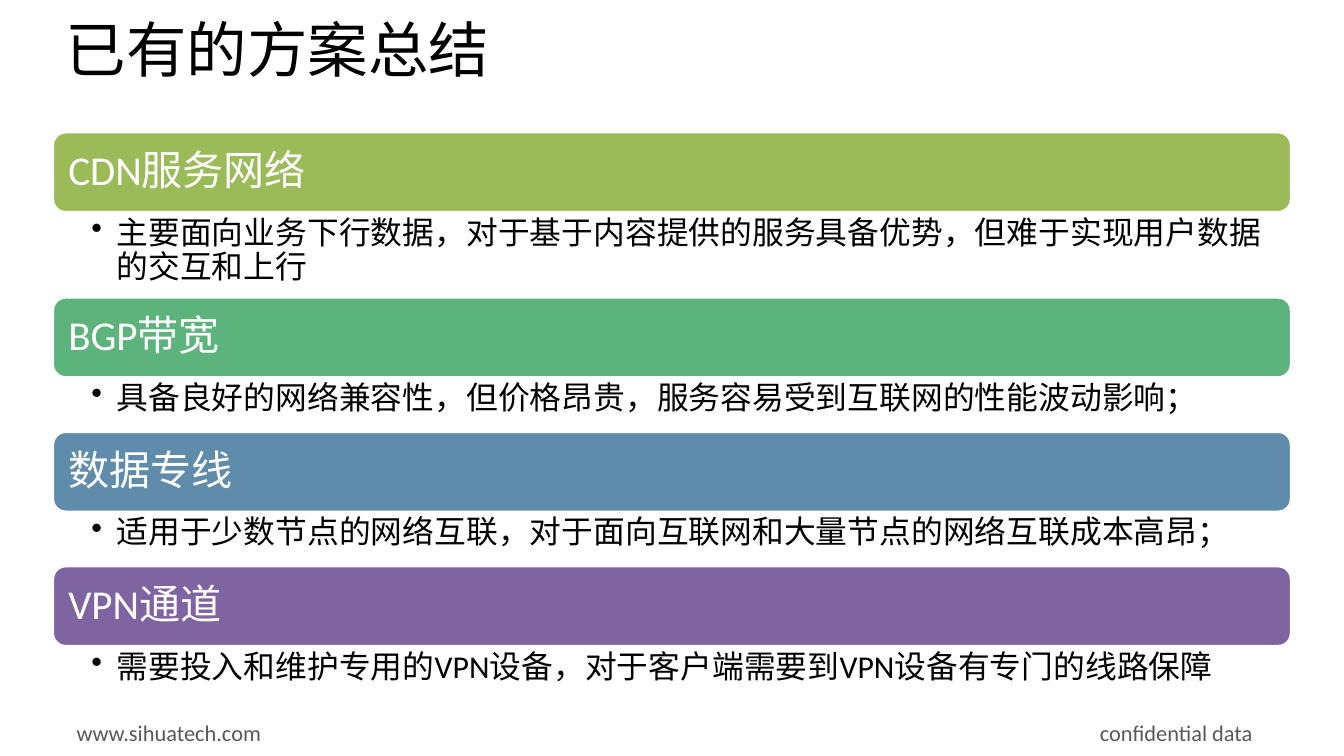
import pptx
import pptx.dml.color
import pptx.enum.shapes
import pptx.enum.text
import pptx.oxml.ns
import pptx.util
from lxml import etree

Pt = pptx.util.Pt
ANCHOR = pptx.enum.text.MSO_ANCHOR
COLORS = {
    "white": "FFFFFF", "black": "000000", "grey": "595959",
    "lime": "9BBB59", "green": "5CB37C", "blue": "608CAB", "purple": "8064A2",
}
LATIN, CHINESE = "Calibri", "Noto Sans CJK SC"
LEFT, WIDTH = 28, 664
BAR_HEIGHT = 43.5


def color(name):
    return pptx.dml.color.RGBColor.from_string(COLORS[name])


def add_element(parent, tag, **attributes):
    return etree.SubElement(parent, pptx.oxml.ns.qn(tag), attributes)


class SlideBuilder:
    def __init__(self, slide):
        self.slide = slide

    def frame(self, shape, insets, anchor):
        frame = shape.text_frame
        frame.word_wrap = True
        frame.auto_size = pptx.enum.text.MSO_AUTO_SIZE.NONE
        frame.vertical_anchor = anchor
        (frame.margin_left, frame.margin_top,
         frame.margin_right, frame.margin_bottom) = map(Pt, insets)
        paragraph = frame.paragraphs[0]
        paragraph.alignment = pptx.enum.text.PP_ALIGN.LEFT
        return paragraph

    def run(self, paragraph, text, size, color_name, font=LATIN):
        run = paragraph.add_run()
        run.text = text
        run.font.size = Pt(size)
        run.font.name = font
        run.font.color.rgb = color(color_name)
        add_element(run.font._element, "a:ea", typeface=CHINESE)

    def text_box(self, left, top, width, height, insets):
        box = self.slide.shapes.add_textbox(Pt(left), Pt(top), Pt(width), Pt(height))
        return self.frame(box, insets, ANCHOR.TOP)

    def title(self, text):
        title = self.slide.shapes.title
        title.left, title.top, title.width, title.height = Pt(LEFT), Pt(6.5), Pt(604), Pt(39)
        paragraph = self.frame(title, (7.2, 3.6, 7.2, 3.6), ANCHOR.MIDDLE)
        self.run(paragraph, text, 32.4, "black", CHINESE)

    def bar(self, top, text, fill):
        bar = self.slide.shapes.add_shape(
            pptx.enum.shapes.MSO_SHAPE.ROUNDED_RECTANGLE,
            Pt(LEFT), Pt(top), Pt(WIDTH), Pt(BAR_HEIGHT))
        bar.shadow.inherit = False
        bar.fill.solid()
        bar.fill.fore_color.rgb = color(fill)
        bar.line.color.rgb = color("white")
        bar.line.width = Pt(2)
        paragraph = self.frame(bar, (6.5, 6.5, 6.5, 6.5), ANCHOR.MIDDLE)
        paragraph.line_spacing = 0.9
        self.run(paragraph, text, 22, "white")

    def bullet(self, top, height, text):
        paragraph = self.text_box(LEFT, top, WIDTH, height, (21, 2.2, 12, 2.2))
        paragraph.line_spacing = 0.9
        properties = paragraph._p.get_or_add_pPr()
        properties.set("marL", str(Pt(13.5)))
        properties.set("indent", str(Pt(-13.5)))
        add_element(properties, "a:buChar", char="•")
        self.run(paragraph, text, 17, "black")

    def footer(self, left_text, right_text):
        paragraph = self.text_box(34, 382, 670, 22, (7.2, 3.6, 7.2, 3.6))
        tabs = add_element(paragraph._p.get_or_add_pPr(), "a:tabLst")
        add_element(tabs, "a:tab", pos=str(Pt(630)), algn="r")
        self.run(paragraph, f"{left_text}\t{right_text}", 12, "grey")


def main():
    presentation = pptx.Presentation()
    presentation.slide_width, presentation.slide_height = Pt(720), Pt(405)
    builder = SlideBuilder(presentation.slides.add_slide(presentation.slide_layouts[5]))

    # Title and footer
    builder.title("已有的方案总结")
    builder.footer("www.sihuatech.com", "confidential data")

    # Stacked solutions: heading, bar colour, height of the description, description
    solutions = [
        ("CDN服务网络", "lime", 45,
         "主要面向业务下行数据，对于基于内容提供的服务具备优势，但难于实现用户数据的交互和上行"),
        ("BGP带宽", "green", 28.5,
         "具备良好的网络兼容性，但价格昂贵，服务容易受到互联网的性能波动影响；"),
        ("数据专线", "blue", 28.5,
         "适用于少数节点的网络互联，对于面向互联网和大量节点的网络互联成本高昂；"),
        ("VPN通道", "purple", 28.5,
         "需要投入和维护专用的VPN设备，对于客户端需要到VPN设备有专门的线路保障"),
    ]
    top = 70.5
    for heading, fill, height, description in solutions:
        builder.bar(top, heading, fill)
        builder.bullet(top + BAR_HEIGHT, height, description)
        top += BAR_HEIGHT + height

    presentation.save("out.pptx")


if __name__ == "__main__":
    main()
